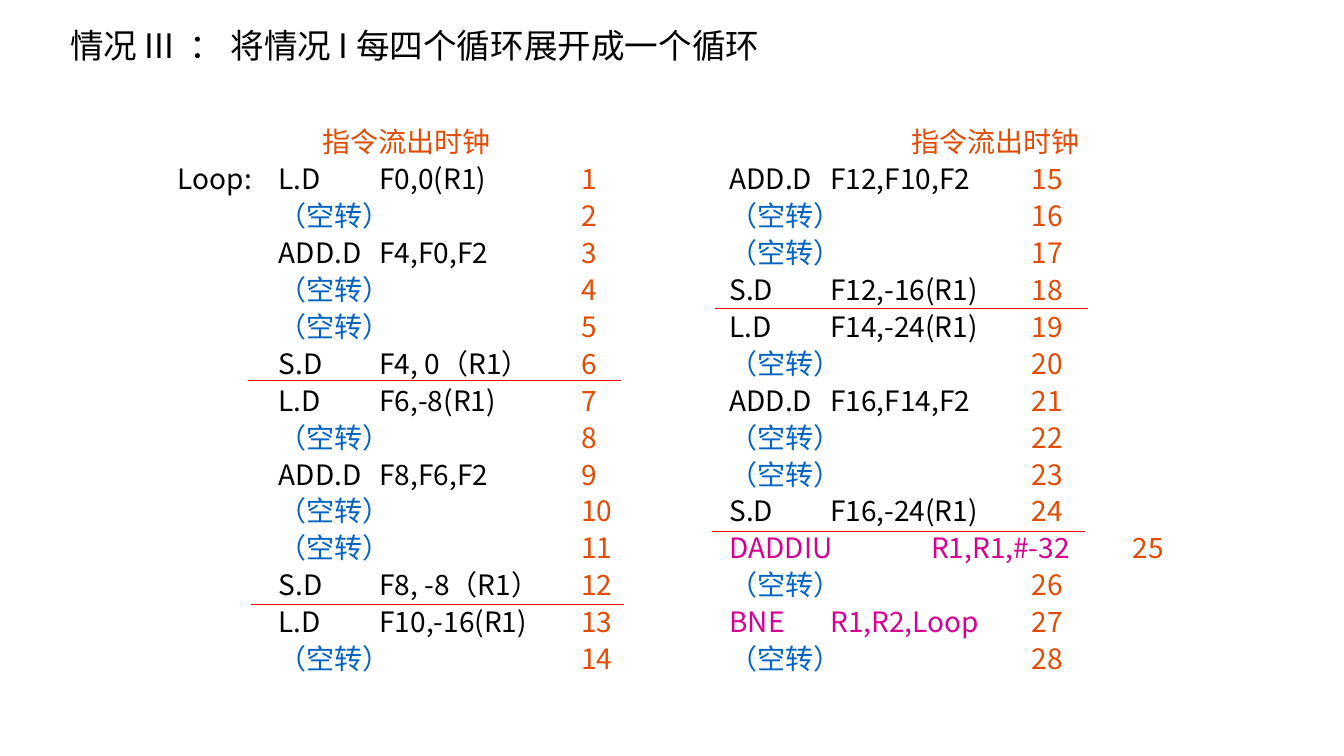
import pptx
import pptx.dml.color
import pptx.enum.shapes
import pptx.enum.text
import pptx.oxml
import pptx.oxml.ns
import pptx.util

Pt = pptx.util.Pt
FONT = "Noto Sans CJK SC"
BLACK, ORANGE, BLUE, MAGENTA, RED = "000000", "E24C05", "0563C1", "D60093", "FF0000"
HEADING = "指令流出时钟"
IDLE = "（空转）\t"
ROW_PITCH = 26.35
TAB_STEP = 72

# Instructions in issue order; each one takes the next clock
LEFT_ROWS = [
    "L.D\tF0,0(R1)", IDLE, "ADD.D\tF4,F0,F2", IDLE, IDLE, "S.D\tF4, 0（R1）",
    "L.D\tF6,-8(R1)", IDLE, "ADD.D\tF8,F6,F2", IDLE, IDLE, "S.D\tF8, -8（R1）",
    "L.D\tF10,-16(R1)", IDLE,
]
RIGHT_ROWS = [
    "ADD.D\tF12,F10,F2", IDLE, IDLE, "S.D\tF12,-16(R1)",
    "L.D\tF14,-24(R1)", IDLE, "ADD.D\tF16,F14,F2", IDLE, IDLE, "S.D\tF16,-24(R1)",
    "DADDIU\tR1,R1,#-32", IDLE, "BNE\tR1,R2,Loop", IDLE,
]


def color(value):
    return pptx.dml.color.RGBColor.from_string(value)


def apply_format(target, values):
    for name, value in values.items():
        setattr(target, name, value)


def add_run(paragraph, text, size, fill):
    run = paragraph.add_run()
    run.text = text
    apply_format(run.font, {"name": FONT, "size": Pt(size), "bold": False})
    run.font.color.rgb = color(fill)
    east_asian = pptx.oxml.parse_xml(
        f'<a:ea {pptx.oxml.ns.nsdecls("a")} typeface="{FONT}"/>')
    run.font._element.find(pptx.oxml.ns.qn("a:latin")).addnext(east_asian)


def format_paragraph(paragraph, spacing):
    apply_format(paragraph, {
        "alignment": pptx.enum.text.PP_ALIGN.LEFT,
        "line_spacing": Pt(spacing),
        "space_before": Pt(0),
        "space_after": Pt(0),
    })


def add_tab_stops(paragraph):
    stops = "".join(f'<a:tab pos="{Pt(TAB_STEP * number)}" algn="l"/>'
                    for number in range(1, 6))
    paragraph._p.get_or_add_pPr().append(pptx.oxml.parse_xml(
        f'<a:tabLst {pptx.oxml.ns.nsdecls("a")}>{stops}</a:tabLst>'))


def place_frame(shape, left, top, width, height):
    apply_format(shape, {"left": Pt(left), "top": Pt(top),
                         "width": Pt(width), "height": Pt(height)})
    apply_format(shape.text_frame, {
        "word_wrap": True,
        "auto_size": pptx.enum.text.MSO_AUTO_SIZE.NONE,
        "vertical_anchor": pptx.enum.text.MSO_ANCHOR.TOP,
    })
    return shape.text_frame


def set_title(slide, text):
    frame = place_frame(slide.shapes.title, 42.8, 0, 723.6, 51)
    paragraph = frame.paragraphs[0]
    format_paragraph(paragraph, 43)
    add_run(paragraph, text, 24, BLACK)


def row_color(row):
    if row == IDLE:
        return BLUE
    return MAGENTA if row.startswith(("DADDIU", "BNE")) else BLACK


def add_listing(slide, left, width, indent, rows, first_clock, labels):
    shape = slide.shapes.add_textbox(0, 0, 0, 0)
    frame = place_frame(shape, left, 83.3, width, 407)

    # Column heading
    heading = frame.paragraphs[0]
    format_paragraph(heading, ROW_PITCH)
    heading._p.get_or_add_pPr().set("marL", str(Pt(indent)))
    add_run(heading, HEADING, 20, ORANGE)

    # One row per clock
    for clock, (label, row) in enumerate(zip(labels, rows), first_clock):
        paragraph = frame.add_paragraph()
        format_paragraph(paragraph, ROW_PITCH)
        add_tab_stops(paragraph)
        if label:
            add_run(paragraph, label, 20, BLACK)
        add_run(paragraph, row + "\t", 20, row_color(row))
        add_run(paragraph, str(clock), 20, ORANGE)


def add_divider(slide, left, top, length=266.4):
    line = slide.shapes.add_connector(
        pptx.enum.shapes.MSO_CONNECTOR.STRAIGHT,
        Pt(left), Pt(top), Pt(left + length), Pt(top))
    line.line.color.rgb = color(RED)
    line.line.width = Pt(0.75)
    line._element.spPr.append(pptx.oxml.parse_xml(
        f'<a:effectLst {pptx.oxml.ns.nsdecls("a")}/>'))


def main():
    presentation = pptx.Presentation()
    apply_format(presentation, {"slide_width": Pt(960), "slide_height": Pt(540)})
    slide = presentation.slides.add_slide(presentation.slide_layouts[5])

    set_title(slide, "情况 III  ： 将情况 I 每四个循环展开成一个循环")

    # Instruction listings
    left_labels = ["Loop:\t"] + ["\t"] * (len(LEFT_ROWS) - 1)
    add_listing(slide, 120, 405.4, 103.2, LEFT_ROWS, 1, left_labels)
    add_listing(slide, 514, 340.6, 129.8, RIGHT_ROWS, len(LEFT_ROWS) + 1,
                [""] * len(RIGHT_ROWS))

    # Lines between the unrolled iterations
    for left, top in [(177.1, 272), (179.3, 431.8), (510.5, 220.2), (508.3, 380)]:
        add_divider(slide, left, top)

    presentation.save("out.pptx")


if __name__ == "__main__":
    main()
